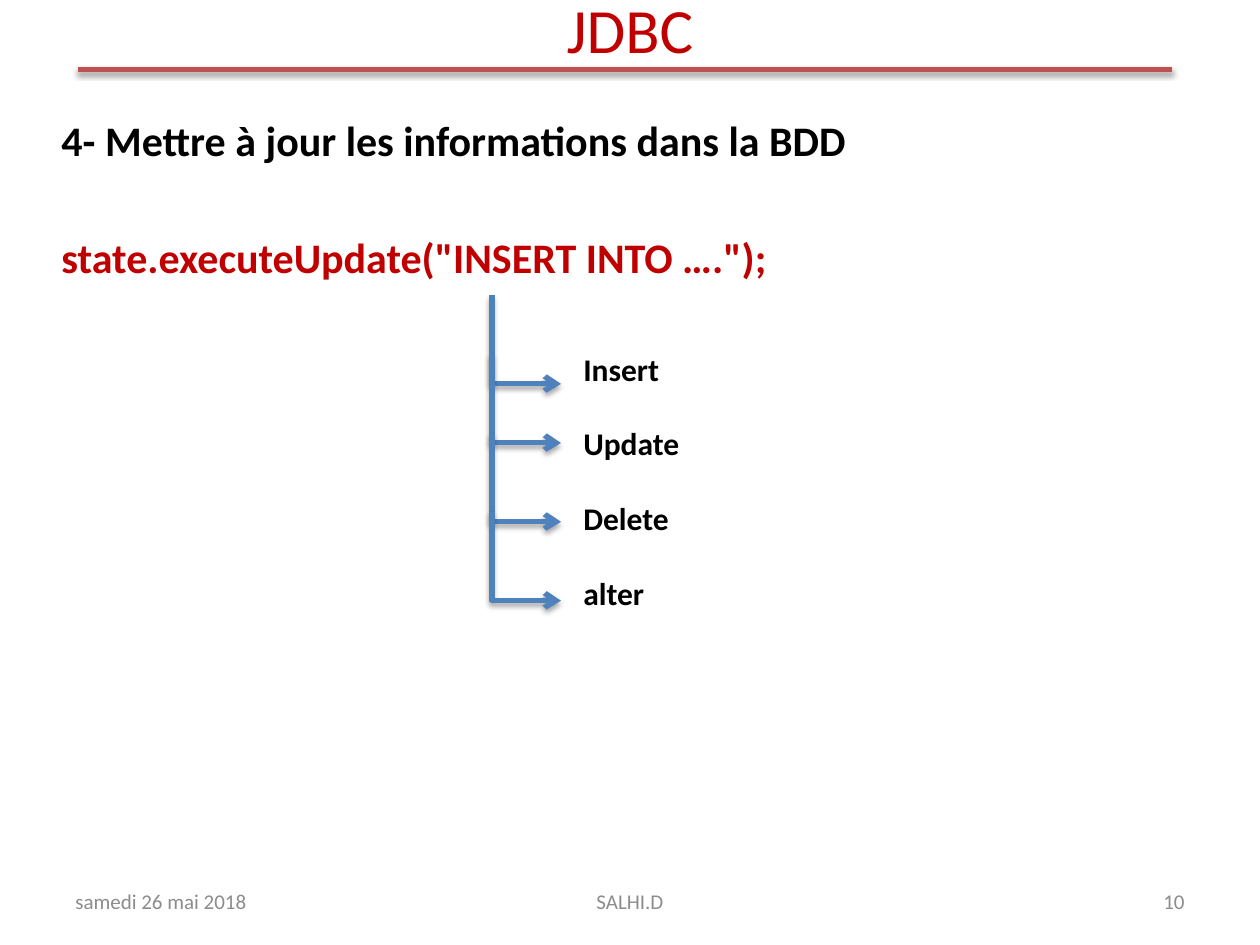
import pptx
import pptx.dml.color
import pptx.enum.shapes
import pptx.enum.text
import pptx.oxml
import pptx.oxml.ns
import pptx.util

Cm = pptx.util.Cm
Pt = pptx.util.Pt
RGBColor = pptx.dml.color.RGBColor
Align = pptx.enum.text.PP_ALIGN
Anchor = pptx.enum.text.MSO_ANCHOR
Kind = pptx.enum.shapes.MSO_CONNECTOR
qn = pptx.oxml.ns.qn

RED = RGBColor(0xC0, 0x00, 0x00)
ROSE = RGBColor(0xC0, 0x50, 0x4D)
BLUE = RGBColor(0x4F, 0x81, 0xBD)
GREY = RGBColor(0x8C, 0x8C, 0x8C)
BLACK = RGBColor(0x00, 0x00, 0x00)

SHADE = (
    '<a:effectLst xmlns:a="http://schemas.openxmlformats.org/drawingml/2006/main">'
    '<a:outerShdw blurRad="40000" dist="23000" dir="5400000" rotWithShape="0">'
    '<a:srgbClr val="000000"><a:alpha val="35000"/></a:srgbClr>'
    '</a:outerShdw></a:effectLst>'
)


def write(par, text, font="Calibri", size=18, color=BLACK, bold=False,
          align=Align.LEFT, gap=0):
    par.alignment = align
    par.space_before = Pt(gap)
    run = par.add_run()
    run.text = text
    run.font.name = font
    run.font.size = Pt(size)
    run.font.bold = bold
    run.font.color.rgb = color


class Deck:
    def __init__(self, font="Calibri", width=3):
        self.font = font
        self.width = width
        self.file = pptx.Presentation()
        self.file.slide_width = Cm(25.4)
        self.file.slide_height = Cm(19.05)
        self.slide = self.file.slides.add_slide(self.file.slide_layouts[5])

    def title(self, text, x, y, w, h):
        shape = self.slide.shapes.title
        shape.left, shape.top, shape.width, shape.height = Cm(x), Cm(y), Cm(w), Cm(h)
        shape.text_frame.vertical_anchor = Anchor.MIDDLE
        write(shape.text_frame.paragraphs[0], text, font=self.font, size=36,
              color=RED, align=Align.CENTER)

    def text(self, rows, x, y, w, h, anchor=Anchor.TOP, **style):
        box = self.slide.shapes.add_textbox(Cm(x), Cm(y), Cm(w), Cm(h))
        frame = box.text_frame
        frame.word_wrap = True
        frame.vertical_anchor = anchor
        for i, (text, extra) in enumerate(rows):
            par = frame.add_paragraph() if i else frame.paragraphs[0]
            write(par, text, font=self.font, **{**style, **extra})

    def line(self, x1, y1, x2, y2, color, kind=Kind.STRAIGHT):
        line = self.slide.shapes.add_connector(kind, Cm(x1), Cm(y1), Cm(x2), Cm(y2))
        line.line.color.rgb = color
        line.line.width = Pt(self.width)
        line._element.spPr.append(pptx.oxml.parse_xml(SHADE))
        return line

    def branch(self, x, y, w, h, color):
        left, top = x + (w - h) / 2, y + (h - w) / 2
        line = self.line(left, top, left + h, top + w, color, Kind.ELBOW)
        props = line._element.spPr
        frame = props.find(qn("a:xfrm"))
        frame.set("rot", "16200000")
        frame.set("flipH", "1")
        guides = props.find(qn("a:prstGeom")).get_or_add_avLst()
        guide = guides.makeelement(qn("a:gd"), {"name": "adj1", "fmla": "val 99600"})
        guides.append(guide)
        edge = props.find(qn("a:ln"))
        edge.append(edge.makeelement(qn("a:tailEnd"), {"type": "arrow"}))


def main():
    deck = Deck()
    deck.title("JDBC", 1.27, -0.64, 22.86, 2.41)
    feet = [
        ("samedi 26 mai 2018", 1.27, 5.93, Align.LEFT),
        ("SALHI.D", 8.68, 8.04, Align.CENTER),
        ("10", 18.2, 5.93, Align.RIGHT),
    ]
    for text, x, w, align in feet:
        deck.text([(text, {})], x, 17.66, w, 1.01, anchor=Anchor.MIDDLE,
                  size=12, color=GREY, align=align)
    deck.line(1.57, 1.4, 23.62, 1.4, ROSE)
    deck.text([
        ("4- Mettre à jour les informations dans la BDD", {}),
        ('state.executeUpdate("INSERT INTO ….");', {"color": RED, "gap": 38}),
    ], 0.99, 2.18, 23.62, 13.28, size=24, bold=True, align=Align.JUSTIFY)
    for y in (5.95, 7.14, 8.73, 10.32):
        deck.branch(9.92, y, 1.39, 1.79, BLUE)
    words = ["Insert", "Update", "Delete", "alter"]
    deck.text([(word, {"gap": 21 if i else 0}) for i, word in enumerate(words)],
              11.51, 6.93, 10.31, 6.4, bold=True)
    deck.file.save("out.pptx")


if __name__ == "__main__":
    main()
